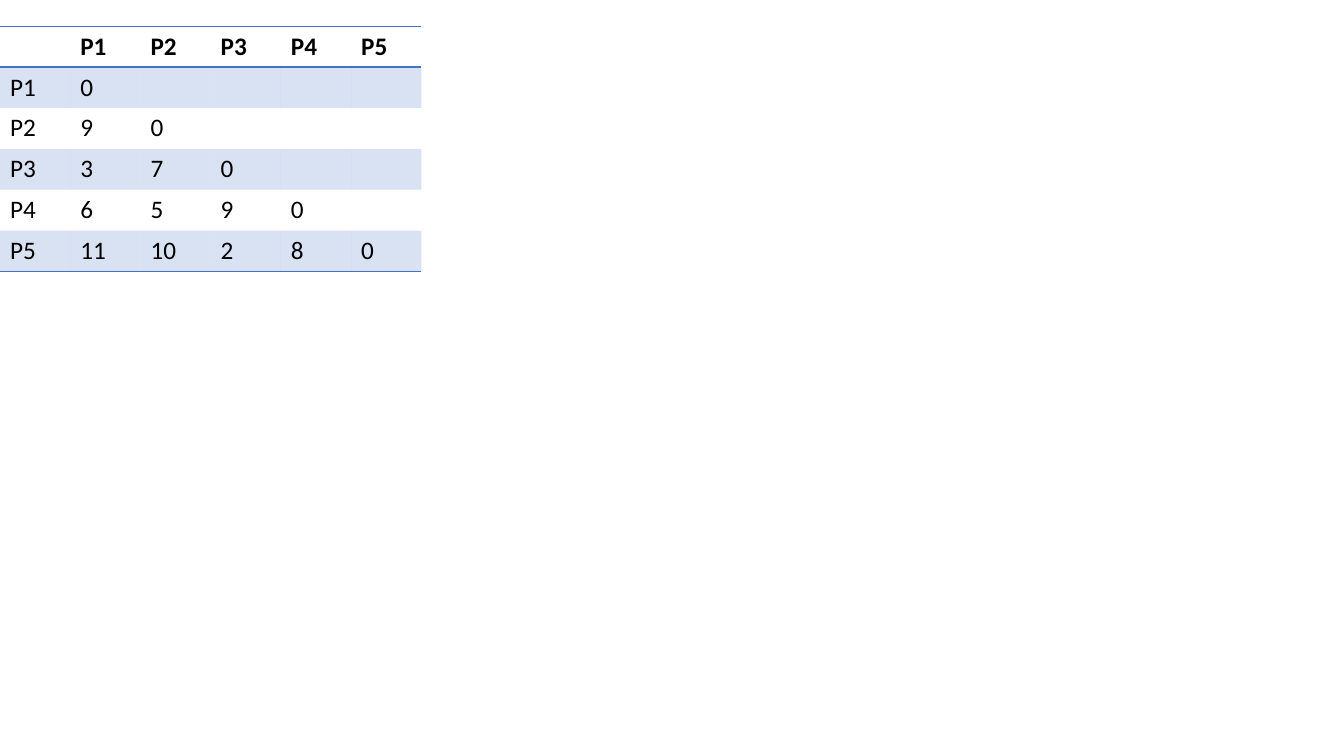
"""Build a slide with the lower-triangular distance matrix of five points."""
from dataclasses import dataclass

from lxml import etree
from pptx import Presentation
from pptx.dml.color import RGBColor
from pptx.oxml.ns import qn
from pptx.table import Table, _Cell
from pptx.util import Inches, Pt

BLUE = "4472C4"
BLACK = "000000"
FONT = "Calibri"
PLAIN_STYLE = "{2D5ABB26-0587-4C30-8999-92F81FD0307C}"
TOP, BOTTOM = "a:lnT", "a:lnB"


@dataclass
class MatrixRow:
    labels: list[str]
    bold: bool = False
    banded: bool = False
    borders: tuple[str, ...] = ()


POINTS = ["P1", "P2", "P3", "P4", "P5"]
DISTANCES = [[0], [9, 0], [3, 7, 0], [6, 5, 9, 0], [11, 10, 2, 8, 0]]


def rgb(value: str) -> RGBColor:
    return RGBColor.from_string(value)


def matrix_rows() -> list[MatrixRow]:
    rows = [MatrixRow(["", *POINTS], bold=True, borders=(TOP, BOTTOM))]
    for i, (point, distances) in enumerate(zip(POINTS, DISTANCES)):
        labels = [point, *map(str, distances)]
        rows.append(MatrixRow(labels, banded=i % 2 == 0))
    rows[-1].borders = (BOTTOM,)
    return rows


def add_border(cell: _Cell, side: str) -> None:
    ln = etree.SubElement(cell._tc.get_or_add_tcPr(), qn(side), w=str(Pt(1)))
    fill = etree.SubElement(ln, qn("a:solidFill"))
    etree.SubElement(fill, qn("a:srgbClr"), val=BLUE)


def fill_cell(cell: _Cell, banded: bool) -> None:
    if not banded:
        cell.fill.background()
        return
    cell.fill.solid()
    cell.fill.fore_color.rgb = rgb(BLUE)
    color = cell._tc.tcPr.find(".//" + qn("a:solidFill") + "[last()]")
    color = cell._tc.tcPr.find(qn("a:solidFill")).find(qn("a:srgbClr"))
    etree.SubElement(color, qn("a:alpha"), val="20000")


def write_cell(cell: _Cell, text: str, bold: bool) -> None:
    r = cell.text_frame.paragraphs[0].add_run()
    r.text = text
    r.font.name = FONT
    r.font.size = Pt(18)
    r.font.bold = bold
    r.font.color.rgb = rgb(BLACK)


def draw_row(table: Table, index: int, row: MatrixRow) -> None:
    for col, cell in enumerate(table.rows[index].cells):
        for side in row.borders:
            add_border(cell, side)
        fill_cell(cell, row.banded)
        if col < len(row.labels) and row.labels[col]:
            write_cell(cell, row.labels[col], row.bold)


def main() -> None:
    prs = Presentation()
    prs.slide_width, prs.slide_height = Inches(13.33), Inches(7.5)
    s = prs.slides.add_slide(prs.slide_layouts[6])
    rows = matrix_rows()
    frame = s.shapes.add_table(len(rows), len(POINTS) + 1, Inches(0), Inches(0.26),
                               Inches(4.18), Inches(2.43))
    table = frame.table
    table._tbl.tblPr.find(qn("a:tableStyleId")).text = PLAIN_STYLE
    for index, row in enumerate(rows):
        draw_row(table, index, row)
    prs.save("out.pptx")


if __name__ == "__main__":
    main()
